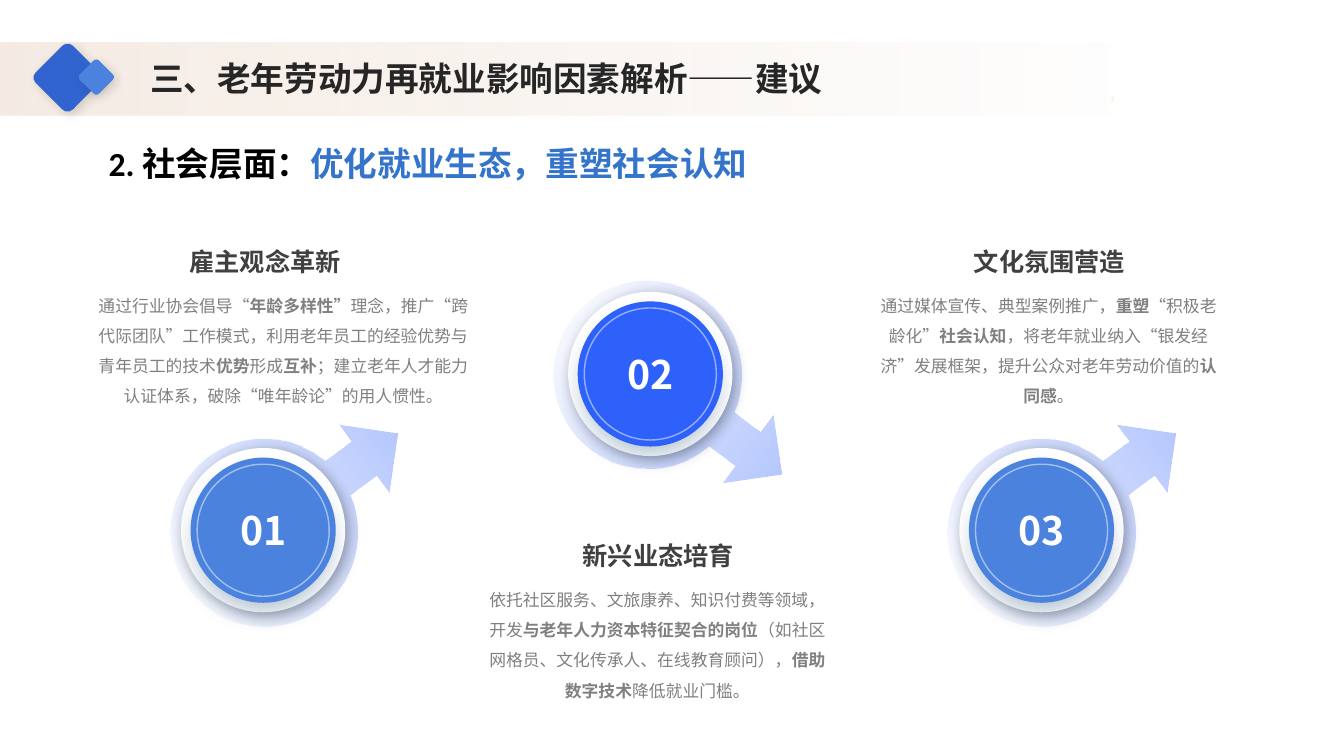
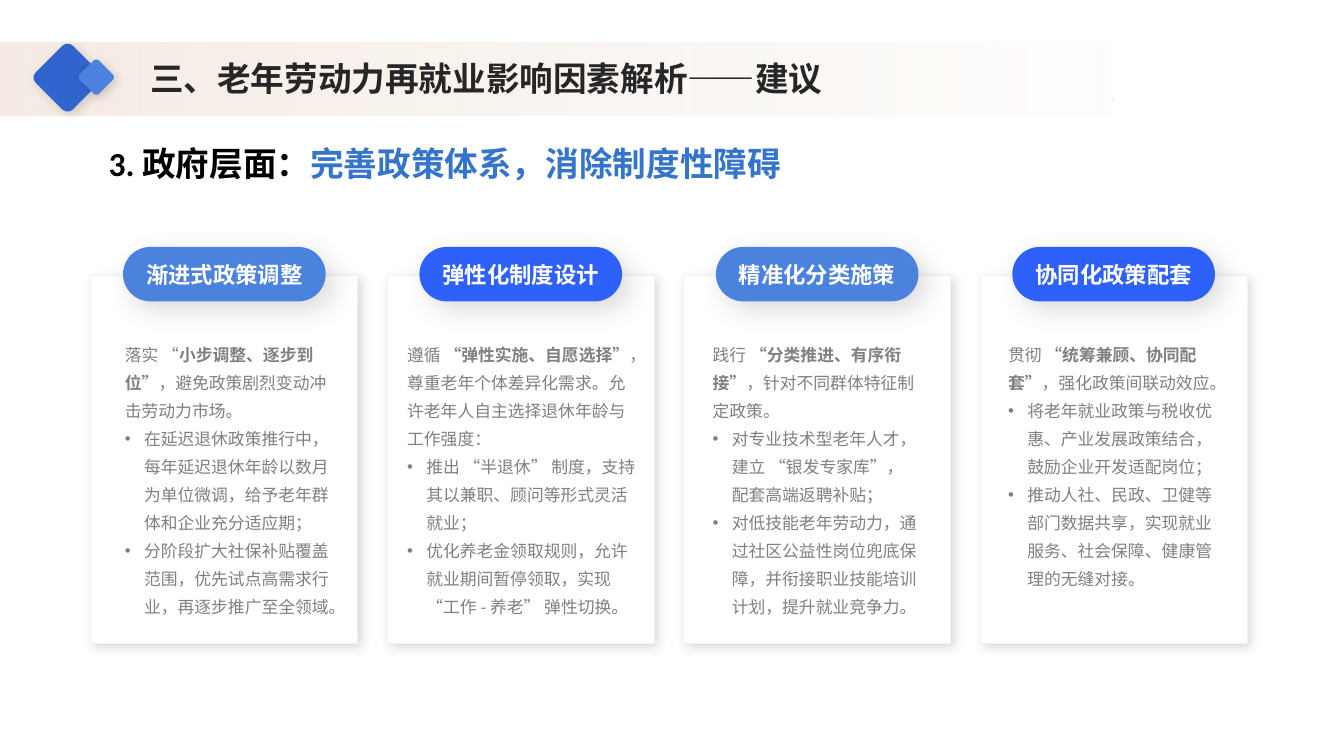
import math

import lxml.etree
import pptx
import pptx.dml.color
import pptx.enum.lang
import pptx.enum.shapes
import pptx.enum.text
import pptx.oxml.ns
import pptx.util

Inches = pptx.util.Inches
Pt = pptx.util.Pt
RGBColor = pptx.dml.color.RGBColor
Kind = pptx.enum.shapes.MSO_SHAPE
Align = pptx.enum.text.PP_ALIGN
Anchor = pptx.enum.text.MSO_ANCHOR
qn = pptx.oxml.ns.qn

WHITE = RGBColor(0xFF, 0xFF, 0xFF)
BLACK = RGBColor(0, 0, 0)
NAVY = RGBColor(0x1F, 0x4E, 0x79)
DEEP_BLUE = RGBColor(0x32, 0x64, 0xCF)
SOFT_BLUE = RGBColor(0x4A, 0x82, 0xDE)
VIVID_BLUE = RGBColor(0x2E, 0x61, 0xFA)
TOPIC_BLUE = RGBColor(0x34, 0x74, 0xCB)
SAND = RGBColor(0xE6, 0xCE, 0xBC)
TITLE_INK = RGBColor(0x26, 0x26, 0x26)
HEADING_INK = RGBColor(0x40, 0x40, 0x40)
BODY_INK = RGBColor(0x80, 0x80, 0x80)
CARD_EDGE = RGBColor(0xF2, 0xF2, 0xF2)

CJK_FONT = "Noto Sans CJK SC"
SOFT_SHADOW = (BLACK, 15, 8, 3, 45)
RING_SHADOW = (BLACK, 30, 10, 3, 45)
DISC_SHADOW = (NAVY, 40, 20, 9, 90, 90)
PILL_SHADOW = (BLACK, 15, 20, 8, 45)


def add_text(para, text, size=12, color=BODY_INK, bold=False, font=CJK_FONT):
    for index, part in enumerate(text.split("**")):
        if not part:
            continue
        span = para.add_run()
        span.text = part
        span.font.size = Pt(size)
        span.font.bold = bold or index % 2 == 1
        span.font.color.rgb = color
        span.font.name = font
        span.font.language_id = pptx.enum.lang.MSO_LANGUAGE_ID.SIMPLIFIED_CHINESE
        latin = span.font._element.find(qn("a:latin"))
        latin.addnext(lxml.etree.Element(qn("a:ea"), typeface=CJK_FONT))


def set_opacity(shape, *percents):
    for color, percent in zip(shape._element.spPr.iter(qn("a:srgbClr")), percents):
        lxml.etree.SubElement(color, qn("a:alpha"), val=str(percent * 1000))


def set_gradient(shape, color, angle, start, end, reach=1):
    shape.fill.gradient()
    shape.fill.gradient_angle = angle
    for stop, position in zip(shape.fill.gradient_stops, (0, reach)):
        stop.color.rgb = color
        stop.position = position
    set_opacity(shape, start, end)


def set_shadow(shape, color, percent, blur, distance, angle, scale=100):
    effects = shape._element.spPr.find(qn("a:effectLst"))
    outer = lxml.etree.SubElement(
        effects, qn("a:outerShdw"), blurRad=str(Pt(blur)), dist=str(Pt(distance)),
        dir=str(angle * 60000), sx=str(scale * 1000), sy=str(scale * 1000),
        algn="ctr", rotWithShape="0")
    tint = lxml.etree.SubElement(outer, qn("a:srgbClr"), val=str(color))
    lxml.etree.SubElement(tint, qn("a:alpha"), val=str(percent * 1000))


def set_bullet(para):
    properties = para._p.get_or_add_pPr()
    properties.set("marL", str(Inches(0.19)))
    properties.set("indent", str(-Inches(0.19)))
    lxml.etree.SubElement(properties, qn("a:buFont"), typeface="Arial")
    lxml.etree.SubElement(properties, qn("a:buChar"), char="•")


class Board:
    def __init__(self, deck):
        self.deck = deck
        self.page = None

    def start_page(self, label, topic):
        self.page = self.deck.slides.add_slide(self.deck.slide_layouts[6])
        band = self.shape(Kind.RECTANGLE, 0, 0.42, 13.33, 0.73)
        set_gradient(band, SAND, 0, 40, 0, reach=0.87)
        accent = self.shape(Kind.PARALLELOGRAM, 11.02, 0.83, 1.92, 0.17, fill=SAND, corner=0.53)
        set_opacity(accent, 27)
        self.shape(Kind.RECTANGLE, 11.05, 0.3, 2.17, 1.15, fill=WHITE)
        for left, top, side, color in ((0.41, 0.51, 0.52, DEEP_BLUE), (0.82, 0.63, 0.27, SOFT_BLUE)):
            diamond = self.shape(Kind.ROUNDED_RECTANGLE, left, top, side, side,
                                 fill=color, shadow=SOFT_SHADOW, corner=0.14)
            diamond.rotation = 45
        title = self.text(1.39, 0.53, 8.57, 0.5)
        add_text(title.paragraphs[0], "三、老年劳动力再就业影响因素解析——建议",
                 size=24, color=TITLE_INK, bold=True)
        line = self.text(0.98, 1.37, 8.2, 0.5).paragraphs[0]
        add_text(line, label, size=24, color=BLACK, bold=True, font="Calibri")
        add_text(line, topic, size=24, color=TOPIC_BLUE, bold=True, font="Calibri")

    def shape(self, kind, left, top, width, height, fill=None, line=None,
              weight=0.75, shadow=None, corner=None):
        shape = self.page.shapes.add_shape(
            kind, Inches(left), Inches(top), Inches(width), Inches(height))
        shape.shadow.inherit = False
        if corner is not None:
            shape.adjustments[0] = corner
        if fill is None:
            shape.fill.background()
        else:
            shape.fill.solid()
            shape.fill.fore_color.rgb = fill
        if line is None:
            shape.line.fill.background()
        else:
            shape.line.color.rgb = line
            shape.line.width = Pt(weight)
        if shadow:
            set_shadow(shape, *shadow)
        return shape

    def text(self, left, top, width, height):
        box = self.page.shapes.add_textbox(
            Inches(left), Inches(top), Inches(width), Inches(height))
        frame = box.text_frame
        frame.word_wrap = True
        frame.auto_size = pptx.enum.text.MSO_AUTO_SIZE.SHAPE_TO_FIT_TEXT
        return frame

    def label(self, shape, text, size):
        frame = shape.text_frame
        frame.vertical_anchor = Anchor.MIDDLE
        para = frame.paragraphs[0]
        para.alignment = Align.CENTER
        add_text(para, text, size=size, color=WHITE, bold=True)

    def arrow(self, left, top, rotation):
        radius, head, shaft, height = 930, 420, 210, 2580
        center = height - radius
        opening = math.asin(shaft / radius)
        joint = center - radius * math.cos(opening)
        points = [(radius + head, head), (radius + shaft, head), (radius + shaft, joint),
                  (2 * radius, center), (radius, height), (0, center),
                  (radius - shaft, joint), (radius - shaft, head), (radius - head, head)]
        outline = self.page.shapes.build_freeform(radius, 0, scale=Inches(1) / 1000)
        outline.add_line_segments(points, close=True)
        shape = outline.convert_to_shape(Inches(left), Inches(top))
        corners = list(shape._element.spPr.iter(qn("a:lnTo")))
        arc = lxml.etree.Element(
            qn("a:arcTo"), wR=str(radius), hR=str(radius),
            stAng=str(round((270 + math.degrees(opening)) * 60000)),
            swAng=str(round((360 - 2 * math.degrees(opening)) * 60000)))
        corners[2].addnext(arc)
        for corner in corners[3:7]:
            corner.getparent().remove(corner)
        shape.rotation = rotation
        shape.shadow.inherit = False
        shape.line.fill.background()
        set_gradient(shape, VIVID_BLUE, 270, 36, 0)

    def badge(self, number, x, y, color):
        def circle(size, **style):
            return self.shape(Kind.OVAL, x - size / 2, y - size / 2, size, size, **style)

        circle(1.63, fill=WHITE, shadow=RING_SHADOW)
        self.label(circle(1.44, fill=color, shadow=DISC_SHADOW), number, 28)
        set_opacity(circle(1.31, line=WHITE, weight=1), 50)

    def story(self, heading, body, x, top, body_x, width, height):
        frame = self.text(body_x - width / 2, top + 0.39, width, height)
        para = frame.paragraphs[0]
        para.alignment = Align.CENTER
        para.line_spacing = 1.5
        add_text(para, body)
        frame = self.text(x - 0.92, top, 1.84, 0.4)
        frame.vertical_anchor = Anchor.MIDDLE
        frame.paragraphs[0].alignment = Align.CENTER
        add_text(frame.paragraphs[0], heading, size=18, color=HEADING_INK, bold=True)

    def card(self, left, color, heading, text_left, text_width, paragraphs):
        self.shape(Kind.RECTANGLE, left, 2.73, 2.65, 3.65,
                   fill=WHITE, line=CARD_EDGE, shadow=SOFT_SHADOW)
        frame = self.text(text_left, 3.29, text_width, 2.9)
        for index, text in enumerate(paragraphs):
            para = frame.add_paragraph() if index else frame.paragraphs[0]
            para.line_spacing = Pt(20)
            if index:
                set_bullet(para)
            add_text(para, text)
        pill = self.shape(Kind.ROUNDED_RECTANGLE, left + 0.32, 2.45, 2.01, 0.54,
                          fill=color, shadow=PILL_SHADOW, corner=0.5)
        self.label(pill, heading, 16)


def build_society_page(board):
    board.start_page("2. 社会层面：", "优化就业生态，重塑社会认知")
    for left, top, rotation in ((1.98, 3.78, 53.5), (9.69, 3.78, 53.5), (5.78, 2.64, 126.5)):
        board.arrow(left, top, rotation)
    board.badge("01", 2.61, 5.26, SOFT_BLUE)
    board.badge("02", 6.45, 3.71, VIVID_BLUE)
    board.badge("03", 10.33, 5.26, SOFT_BLUE)
    board.story(
        "雇主观念革新",
        "通过行业协会倡导“**年龄多样性”**理念，推广“跨代际团队”工作模式，利用老年员工的经验优势与"
        "青年员工的技术**优势**形成**互补**；建立老年人才能力认证体系，破除“唯年龄论”的用人惯性。",
        2.63, 2.39, 2.81, 3.89, 1.31)
    board.story(
        "文化氛围营造",
        "通过媒体宣传、典型案例推广，**重塑**“积极老龄化”**社会认知**，将老年就业纳入“银发经济”"
        "发展框架，提升公众对老年劳动价值的**认同感**。",
        10.41, 2.39, 10.4, 3.54, 1.31)
    board.story(
        "新兴业态培育",
        "依托社区服务、文旅康养、知识付费等领域，开发**与老年人力资本特征契合的岗位**"
        "（如社区网格员、文化传承人、在线教育顾问），**借助数字技术**降低就业门槛。",
        6.53, 5.31, 6.52, 3.54, 1.31)


def build_government_page(board):
    board.start_page("3. 政府层面：", "完善政策体系，消除制度性障碍")
    cards = (
        ("渐进式政策调整", 1.14, 2.25, (
            "落实 “**小步调整、逐步到位”**，避免政策剧烈变动冲击劳动力市场。",
            "在延迟退休政策推行中，每年延迟退休年龄以数月为单位微调，给予老年群体和企业充分适应期；",
            "分阶段扩大社保补贴覆盖范围，优先试点高需求行业，再逐步推广至全领域。")),
        ("弹性化制度设计", 3.94, 2.47, (
            "遵循 **“弹性实施、自愿选择”**，尊重老年个体差异化需求。允许老年人自主选择退休年龄与工作强度：",
            "推出 “半退休” 制度，支持其以兼职、顾问等形式灵活就业；",
            "优化养老金领取规则，允许就业期间暂停领取，实现 “工作 - 养老” 弹性切换。")),
        ("精准化分类施策", 6.97, 2.25, (
            "践行** “分类推进、有序衔接”**，针对不同群体特征制定政策。",
            "对专业技术型老年人才，建立 “银发专家库”，配套高端返聘补贴；",
            "对低技能老年劳动力，通过社区公益性岗位兜底保障，并衔接职业技能培训计划，提升就业竞争力。")),
        ("协同化政策配套", 9.9, 2.25, (
            "贯彻 **“统筹兼顾、协同配套”**，强化政策间联动效应。",
            "将老年就业政策与税收优惠、产业发展政策结合，鼓励企业开发适配岗位；",
            "推动人社、民政、卫健等部门数据共享，实现就业服务、社会保障、健康管理的无缝对接。")),
    )
    for index, (heading, text_left, text_width, paragraphs) in enumerate(cards):
        color = VIVID_BLUE if index % 2 else SOFT_BLUE
        board.card(0.9 + 2.94 * index, color, heading, text_left, text_width, paragraphs)


def main():
    deck = pptx.Presentation()
    deck.slide_width = Inches(13.33)
    deck.slide_height = Inches(7.5)
    board = Board(deck)
    build_society_page(board)
    build_government_page(board)
    deck.save("out.pptx")


if __name__ == "__main__":
    main()
